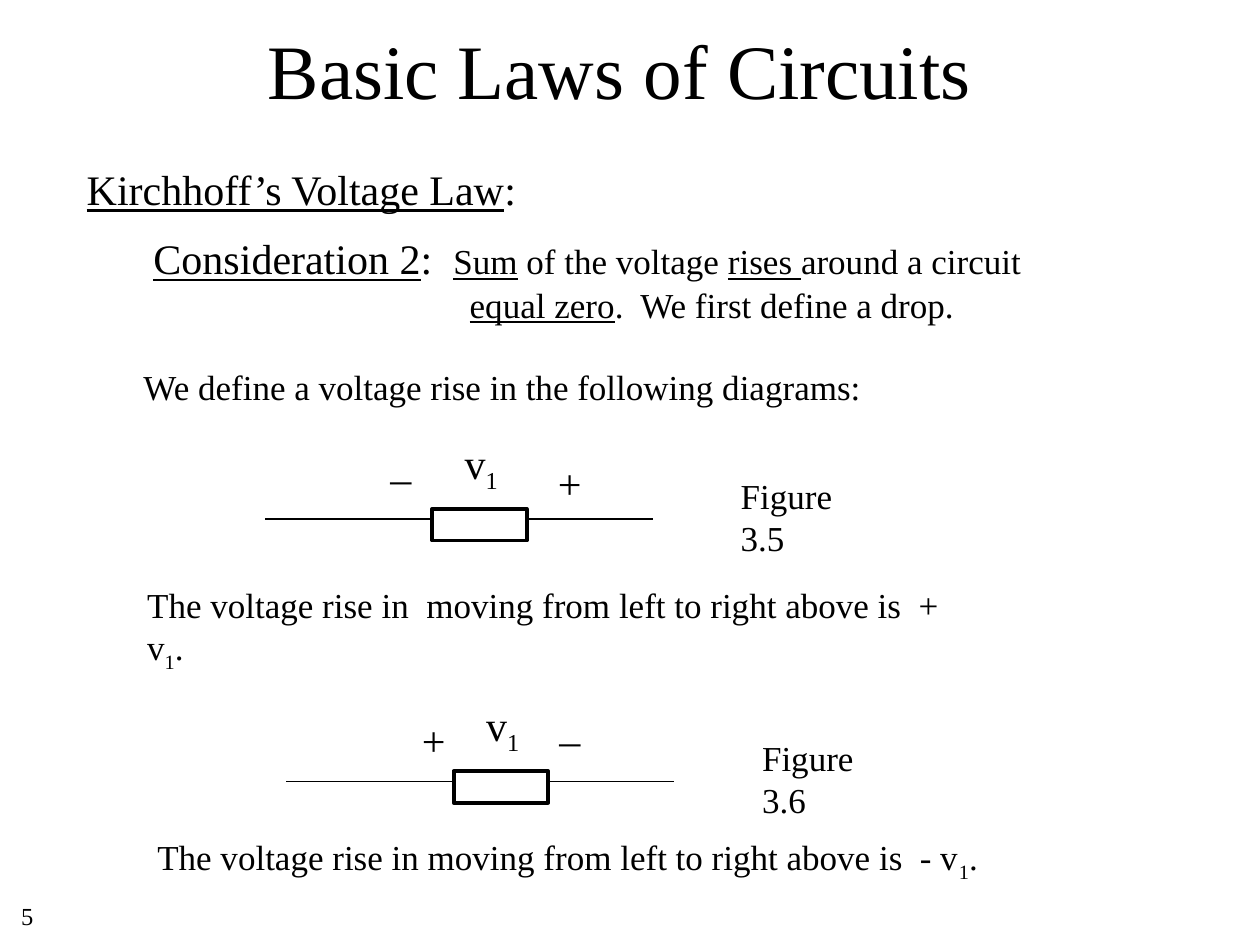
from dataclasses import dataclass

from pptx import Presentation
from pptx.dml.color import RGBColor
from pptx.enum.shapes import MSO_CONNECTOR as CONN, MSO_SHAPE as SHAPE
from pptx.enum.text import MSO_ANCHOR as ANCHOR, PP_ALIGN as ALIGN
from pptx.oxml.ns import qn
from pptx.util import Inches, Pt
from lxml.etree import SubElement

# Grid: 100 columns by 75 rows on a 10 x 7.5 inch slide
W, H = Inches(10), Inches(7.5)
COL, ROW = W / 100, H / 75
COLORS = {"ink": "000000", "paper": "FFFFFF"}
FONT = "Times New Roman"
RESISTOR_W, RESISTOR_H = 7.5, 2.5
WIRE_DROP, LEFT_WIRE, RIGHT_WIRE = 0.8, 13.3, 10


@dataclass(frozen=True)
class Run:
    text: str
    underline: bool = False
    sub: bool = False
    size: int | None = None


@dataclass(frozen=True)
class Para:
    runs: list[Run]
    size: int = 20
    indent: float = 0
    align: ALIGN = ALIGN.LEFT


@dataclass(frozen=True)
class Box:
    col: float
    row: float
    cols: float
    rows: float
    paras: list[Para]
    wrap: bool = False
    anchor: ANCHOR = ANCHOR.TOP


@dataclass(frozen=True)
class Circuit:
    """A resistor; the sign positions are offsets from its corner."""
    col: float
    row: float
    plus: tuple[float, float]
    minus: tuple[float, float]
    caption: str


def x(cols: float) -> int:
    return round(cols * COL)


def y(rows: float) -> int:
    return round(rows * ROW)


def rgb(name: str) -> RGBColor:
    return RGBColor.from_string(COLORS[name])


def line(text: str, size: int = 20) -> list[Para]:
    return [Para([Run(text)], size)]


def add_text(slide, box: Box) -> None:
    tf = slide.shapes.add_textbox(x(box.col), y(box.row), x(box.cols), y(box.rows)).text_frame
    tf.word_wrap = box.wrap
    tf.vertical_anchor = box.anchor
    for i, para in enumerate(box.paras):
        p = tf.add_paragraph() if i else tf.paragraphs[0]
        p.alignment = para.align
        if para.indent:
            p._p.get_or_add_pPr().set("marL", str(x(para.indent)))
        p.font.name, p.font.size = FONT, Pt(para.size)
        p.font.color.rgb = rgb("ink")
        for run in para.runs:
            r = p.add_run()
            r.text = run.text
            if run.underline:
                r.font.underline = True
            if run.size:
                r.font.size = Pt(run.size)
            if run.sub:
                r._r.get_or_add_rPr().set("baseline", "-25000")


def add_wire(slide, start: float, end: float, row: float) -> None:
    wire = slide.shapes.add_connector(CONN.STRAIGHT, x(start), y(row), x(end), y(row))
    wire.line.color.rgb = rgb("ink")
    wire.line.width = Pt(0.75)
    SubElement(wire._element.spPr, qn("a:effectLst"))


def add_circuit(slide, c: Circuit) -> None:
    sp = slide.shapes.add_shape(SHAPE.RECTANGLE, x(c.col), y(c.row), x(RESISTOR_W), y(RESISTOR_H))
    sp.shadow.inherit = False
    sp.fill.solid()
    sp.fill.fore_color.rgb = rgb("paper")
    sp.line.color.rgb = rgb("ink")
    sp.line.width = Pt(2.25)

    right = c.col + RESISTOR_W
    add_wire(slide, c.col, c.col - LEFT_WIRE, c.row + WIRE_DROP)
    add_wire(slide, right, right + RIGHT_WIRE, c.row + WIRE_DROP)

    for sign, (dx, dy) in (("+", c.plus), ("_", c.minus)):
        add_text(slide, Box(c.col + dx, c.row + dy, 3.8, 5, line(sign, 24)))
    add_text(slide, Box(c.col + 1.6, c.row - 6.2, 4.6, 5.6,
                        [Para([Run("v"), Run("1", sub=True)], 24)]))
    add_text(slide, Box(c.col + 23.5, c.row - 3.2, 13.4, 4.4, line(c.caption)))


def v1_statement(text: str) -> list[Para]:
    return [Para([Run(text), Run("1", sub=True), Run(".")])]


TEXTS = [
    # Title and heading
    Box(6.7, -0.8, 85, 12.5, [Para([Run("Basic Laws of Circuits")], 44, align=ALIGN.CENTER)],
        wrap=True, anchor=ANCHOR.MIDDLE),
    Box(5.9, 12.5, 36.6, 5, [Para([Run("Kirchhoff’s Voltage Law", underline=True), Run(":")], 24)]),
    # Consideration, its second line hanging under the statement
    Box(11.2, 18, 73, 8.4, [
        Para([Run("Consideration 2", underline=True, size=24), Run(":  ", size=24),
              Run("Sum", underline=True), Run(" of the voltage "),
              Run("rises ", underline=True), Run("around a circuit")]),
        Para([Run("equal zero", underline=True), Run(".  We first define a drop.")], indent=25.1),
    ], wrap=True),
    # Statements about the two diagrams
    Box(10.4, 28.5, 59.2, 4.4, line("We define a voltage rise in the following diagrams:")),
    Box(10.7, 45.8, 68.4, 4.8,
        v1_statement("The voltage rise in  moving from left to right above is  + v")),
    Box(11.5, 65.8, 67.1, 4.8,
        v1_statement("The voltage rise in moving from left to right above is  - v")),
    # Page number
    Box(0.7, 71, 3, 3.4, line("5", 14)),
]

CIRCUITS = [
    Circuit(34.3, 40.4, plus=(9, -4.6), minus=(-4.3, -6.2), caption="Figure 3.5"),
    Circuit(36, 61.2, plus=(-3.5, -5), minus=(7.4, -6.2), caption="Figure 3.6"),
]


def main() -> None:
    prs = Presentation()
    prs.slide_width, prs.slide_height = W, H
    slide = prs.slides.add_slide(prs.slide_layouts[6])
    for box in TEXTS:
        add_text(slide, box)
    for circuit in CIRCUITS:
        add_circuit(slide, circuit)
    prs.save("out.pptx")


if __name__ == "__main__":
    main()
